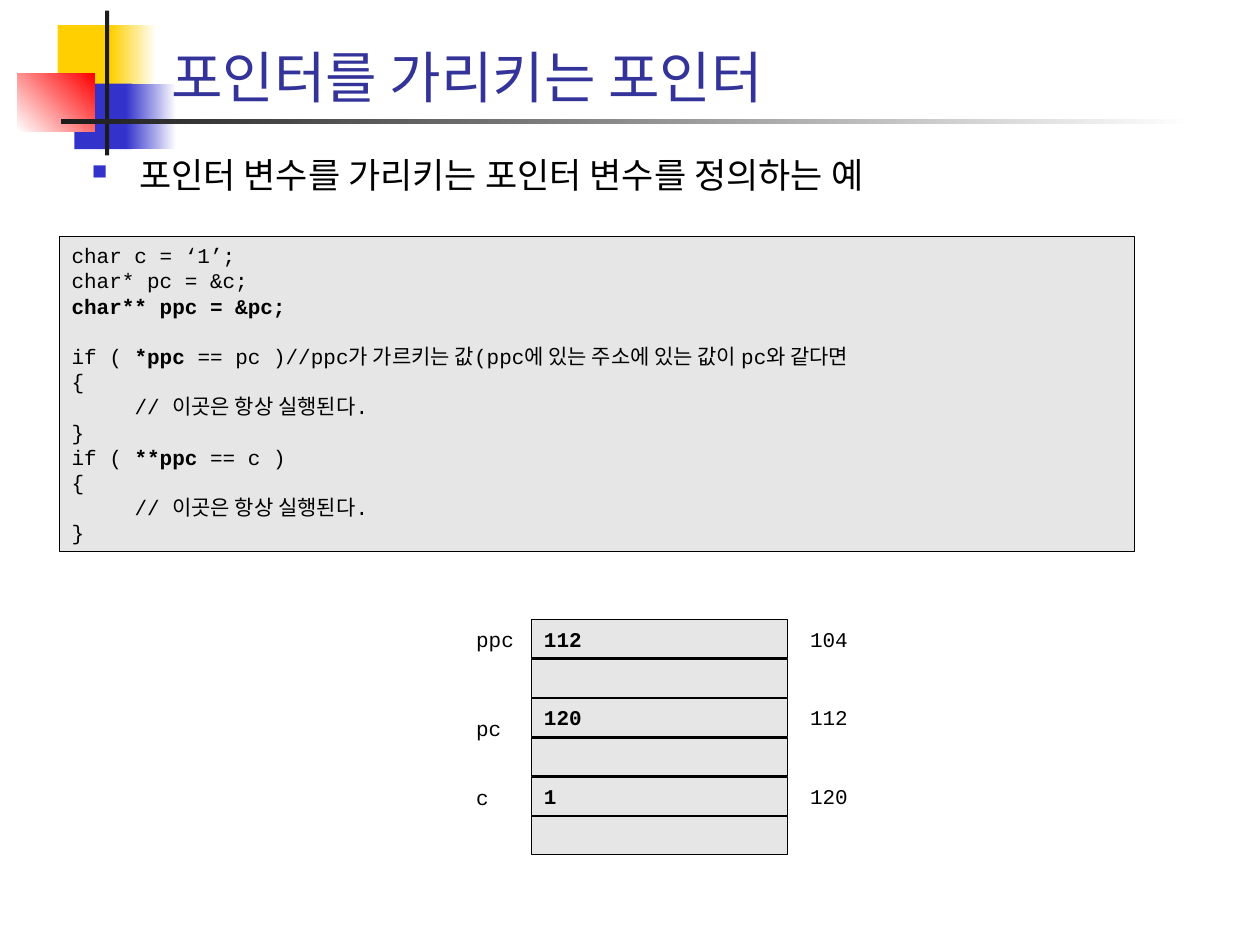
from pptx import Presentation
from pptx.dml.color import RGBColor
from pptx.enum.shapes import MSO_SHAPE
from pptx.enum.text import MSO_ANCHOR
from pptx.oxml.ns import qn
from pptx.util import Pt
from lxml import etree

RECT = MSO_SHAPE.RECTANGLE
TOP, BOTTOM = MSO_ANCHOR.TOP, MSO_ANCHOR.BOTTOM
MONO, SANS = "Courier New", "Noto Sans CJK KR"
BLACK, GRAY, WHITE, BLUE = "000000", "E6E6E6", "FFFFFF", "3333CC"

deck = Presentation()
deck.slide_width, deck.slide_height = Pt(720), Pt(540)
slide = deck.slides.add_slide(deck.slide_layouts[6])


def add_box(x, y, w, h, fill=None, end=None, angle=0, line=None):
    """Add a rectangle with a plain or two-colour fill, or a text box."""
    place = Pt(x), Pt(y), Pt(w), Pt(h)
    if fill is None:
        return slide.shapes.add_textbox(*place)
    box = slide.shapes.add_shape(RECT, *place)
    box.shadow.inherit = False
    if end:
        box.fill.gradient()
        box.fill.gradient_angle = angle
        for stop, tint in zip(box.fill.gradient_stops, (fill, end)):
            stop.color.rgb = RGBColor.from_string(tint)
    else:
        box.fill.solid()
        box.fill.fore_color.rgb = RGBColor.from_string(fill)
    if line:
        box.line.color.rgb = RGBColor.from_string(BLACK)
        box.line.width = Pt(line)
    else:
        box.line.fill.background()
    return box


def add_text(box, lines, size=12, font=MONO, color=BLACK, wrap=True, anchor=TOP):
    """Write lines, each a list of (text, bold) runs."""
    frame = box.text_frame
    frame.word_wrap = wrap
    frame.vertical_anchor = anchor
    for i, runs in enumerate(lines):
        para = frame.add_paragraph() if i else frame.paragraphs[0]
        para.alignment = 1
        for text, bold in runs:
            run = para.add_run()
            run.text = text
            run.font.size = Pt(size)
            run.font.name = font
            run.font.bold = bold
            run.font.color.rgb = RGBColor.from_string(color)
            east = etree.SubElement(run.font._element, qn("a:ea"))
            east.set("typeface", SANS)
    return frame.paragraphs


# Corner ornament and rule
for block in (
    (33, 14.4, 34.6, 37.4, "FFCF01"),
    (63.4, 14.4, 25.9, 37.4, "FFCF01", WHITE),
    (42.5, 47.8, 33.1, 37.4, BLUE),
    (72, 47.8, 28.8, 37.4, BLUE, WHITE),
    (10, 41.8, 44, 33.4, WHITE, "FF0000", 45),
    (60, 6, 2.4, 82.8, "1C1C1C"),
    (34.8, 68.2, 648, 2.5, "1C1C1C", WHITE),
):
    add_box(*block)

# Title
add_text(add_box(90.7, 12.2, 613.4, 54), [[("포인터를 가리키는 포인터", False)]],
         32, "Cabin", "333399", anchor=BOTTOM)

# Bullet line
body = add_box(45.4, 84.2, 612, 402)
point = add_text(body, [[("포인터 변수를 가리키는 포인터 변수를 정의하는 예", False)]], 20, SANS)[0]
props = point._p.get_or_add_pPr()
props.set("marL", str(Pt(27)))
props.set("indent", str(-Pt(27)))
tint = etree.SubElement(props, qn("a:buClr"))
etree.SubElement(tint, qn("a:srgbClr")).set("val", BLUE)
etree.SubElement(props, qn("a:buSzPct")).set("val", "60000")
etree.SubElement(props, qn("a:buChar")).set("char", "■")

# Code listing
note = [("\t// 이곳은 항상 실행된다.", False)]
block = [[("{", False)], note, [("}", False)]]
code = [
    [("char c = ‘1’;", False)],
    [("char* pc = &c;", False)],
    [("char** ppc = &pc;", True)],
    [("if ( ", False), ("*ppc", True),
     (" == pc )//ppc가 가르키는 값(ppc에 있는 주소에 있는 값이 pc와 같다면", False)],
    *block,
    [("if ( ", False), ("**ppc", True), (" == c )", False)],
    *block,
]
lines = add_text(add_box(33.8, 135.2, 614.4, 180, GRAY, line=0.25), code)
lines[3].space_before = Pt(14.4)

# Memory cells
for row, value in enumerate(("112", "", "120", "", "1", "")):
    cell = add_box(303.8, 354.2 + 22.5 * row, 146.2, 21.8, GRAY, line=0.75)
    if value:
        add_text(cell, [[(value, True)]])

# Variable names and addresses
for x, y, w, text in (
    (265, 354.2, 36, "ppc"), (265, 405.4, 28.8, "pc"), (265, 445, 21.6, "c"),
    (455.8, 354.2, 36, "104"), (455.8, 399.2, 36, "112"), (455.8, 444.2, 36, "120"),
):
    add_text(add_box(x, y, w, 21.8), [[(text, False)]], wrap=False)

deck.save("out.pptx")
